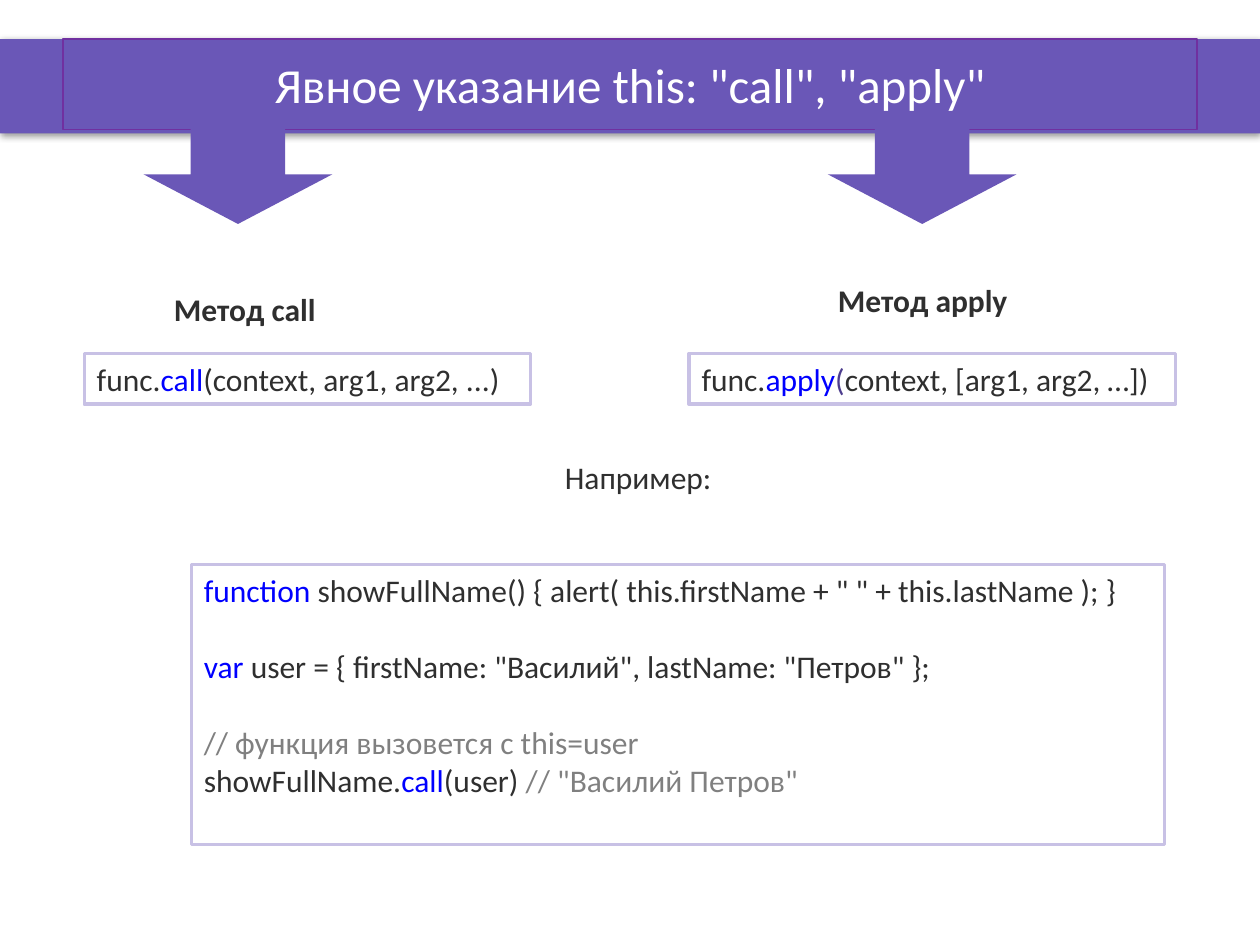
from lxml import etree
from pptx import Presentation
from pptx.dml.color import RGBColor
from pptx.enum import shapes, text
from pptx.oxml.ns import qn
from pptx.util import Pt

COLORS = {
    "purple": "6A57B7",
    "title_line": "7030A0",
    "border": "C8C1E5",
    "white": "FFFFFF",
    "black": "000000",
    "text": "2F2F2F",
    "keyword": "0000FF",
    "bracket": "4D3D8E",
    "comment": "808080",
}
FONT = "Calibri"
LINE_GAP = 22


def rgb(name):
    return RGBColor.from_string(COLORS[name])


def style_font(font, size, color=None, bold=False):
    font.name, font.size, font.bold = FONT, Pt(size), bold
    if color:
        font.color.rgb = rgb(color)


def add_block(slide, kind, box, fill, border=None):
    sp = slide.shapes.add_shape(kind, *map(Pt, box))
    sp.shadow.inherit = False
    sp.fill.solid()
    sp.fill.fore_color.rgb = rgb(fill)
    if border:
        sp.line.color.rgb = rgb(border)
        sp.line.width = Pt(2)
    else:
        sp.line.fill.background()
    return sp


def add_shadow(sp):
    effects = sp.element.spPr.find(qn("a:effectLst"))
    shadow = etree.SubElement(effects, qn("a:outerShdw"), blurRad=str(Pt(4)),
                              dist=str(Pt(1)), dir="5400000", rotWithShape="0")
    color = etree.SubElement(shadow, qn("a:srgbClr"), val=COLORS["black"])
    etree.SubElement(color, qn("a:alpha"), val="40000")


def add_title(slide, content):
    title = slide.shapes.title
    title.left, title.top, title.width, title.height = map(Pt, (36, 22.3, 648, 51.8))
    title.line.color.rgb = rgb("title_line")
    title.line.width = Pt(0.75)
    tf = title.text_frame
    tf.text = content
    tf.vertical_anchor = text.MSO_ANCHOR.MIDDLE
    p = tf.paragraphs[0]
    p.alignment = text.PP_ALIGN.CENTER
    style_font(p.font, 28, "white")

    # The band lies behind the title
    band = add_block(slide, shapes.MSO_SHAPE.RECTANGLE, (0, 22.3, 720, 54), "purple")
    add_shadow(band)
    title.element.addprevious(band.element)


def add_label(slide, box, content, bold=False, inset=7.2, align=text.PP_ALIGN.LEFT):
    tf = slide.shapes.add_textbox(*map(Pt, box)).text_frame
    tf.word_wrap = True
    tf.margin_left = Pt(inset)
    p = tf.paragraphs[0]
    p.text = content
    p.alignment = align
    style_font(p.font, 18, "text", bold)


def add_code(slide, box, lines):
    """Each line is (space before, [(text, colour), ...])."""
    sp = add_block(slide, shapes.MSO_SHAPE.RECTANGLE, box, "white", "border")
    tf = sp.text_frame
    tf.word_wrap = True
    tf.vertical_anchor = text.MSO_ANCHOR.TOP
    for i, (gap, runs) in enumerate(lines):
        p = tf.add_paragraph() if i else tf.paragraphs[0]
        p.alignment = text.PP_ALIGN.LEFT
        p.space_before = Pt(gap)
        style_font(p.font, 18)
        for content, color in runs:
            r = p.add_run()
            r.text = content
            r.font.color.rgb = rgb(color)


def main():
    prs = Presentation()
    prs.slide_width, prs.slide_height = Pt(720), Pt(540)
    slide = prs.slides.add_slide(prs.slide_layouts[5])

    add_title(slide, 'Явное указание this: "call", "apply"')

    # Arrows from the band to the two methods
    for left in (82, 473):
        add_block(slide, shapes.MSO_SHAPE.DOWN_ARROW, (left, 71.2, 108, 56.8), "purple")

    # Method names and signatures
    add_label(slide, (31, 162, 329, 29), "Метод call", bold=True, inset=68.4)
    add_label(slide, (399.6, 157, 283.7, 29), "Метод apply", bold=True, inset=79.2)
    add_code(slide, (48.2, 202, 255, 29), [
        (0, [("func.", "text"), ("call", "keyword"),
             ("(context, arg1, arg2, ...)", "text")]),
    ])
    add_code(slide, (393.8, 202, 278, 29), [
        (0, [("func.", "text"), ("apply", "keyword"), ("(", "bracket"),
             ("context, [arg1, arg2, …])", "text")]),
    ])

    # Example
    add_label(slide, (36, 258, 657.4, 29), "Например:", align=text.PP_ALIGN.CENTER)
    add_code(slide, (109.4, 322.6, 556, 160), [
        (0, [("function ", "keyword"),
             ('showFullName() { alert( this.firstName + " " + this.lastName ); }', "text")]),
        (LINE_GAP, [("var ", "keyword"),
                    ('user = { firstName: "Василий", lastName: "Петров" };', "text")]),
        (LINE_GAP, [("// функция вызовется с this=user", "comment")]),
        (0, [("showFullName.", "text"), ("call", "keyword"), ("(user) ", "text"),
             ('// "Василий Петров"', "comment")]),
    ])

    prs.save("out.pptx")


if __name__ == "__main__":
    main()
